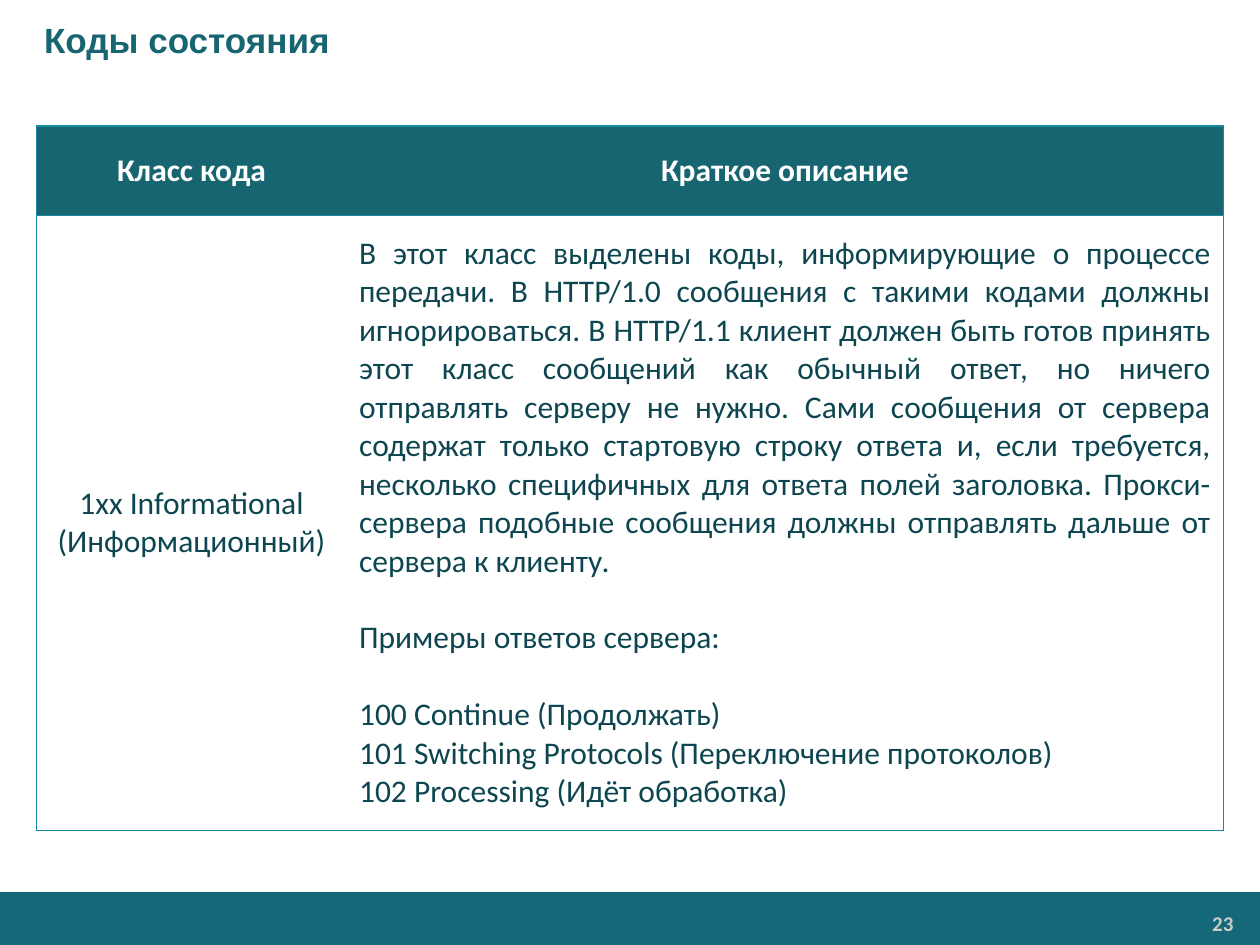
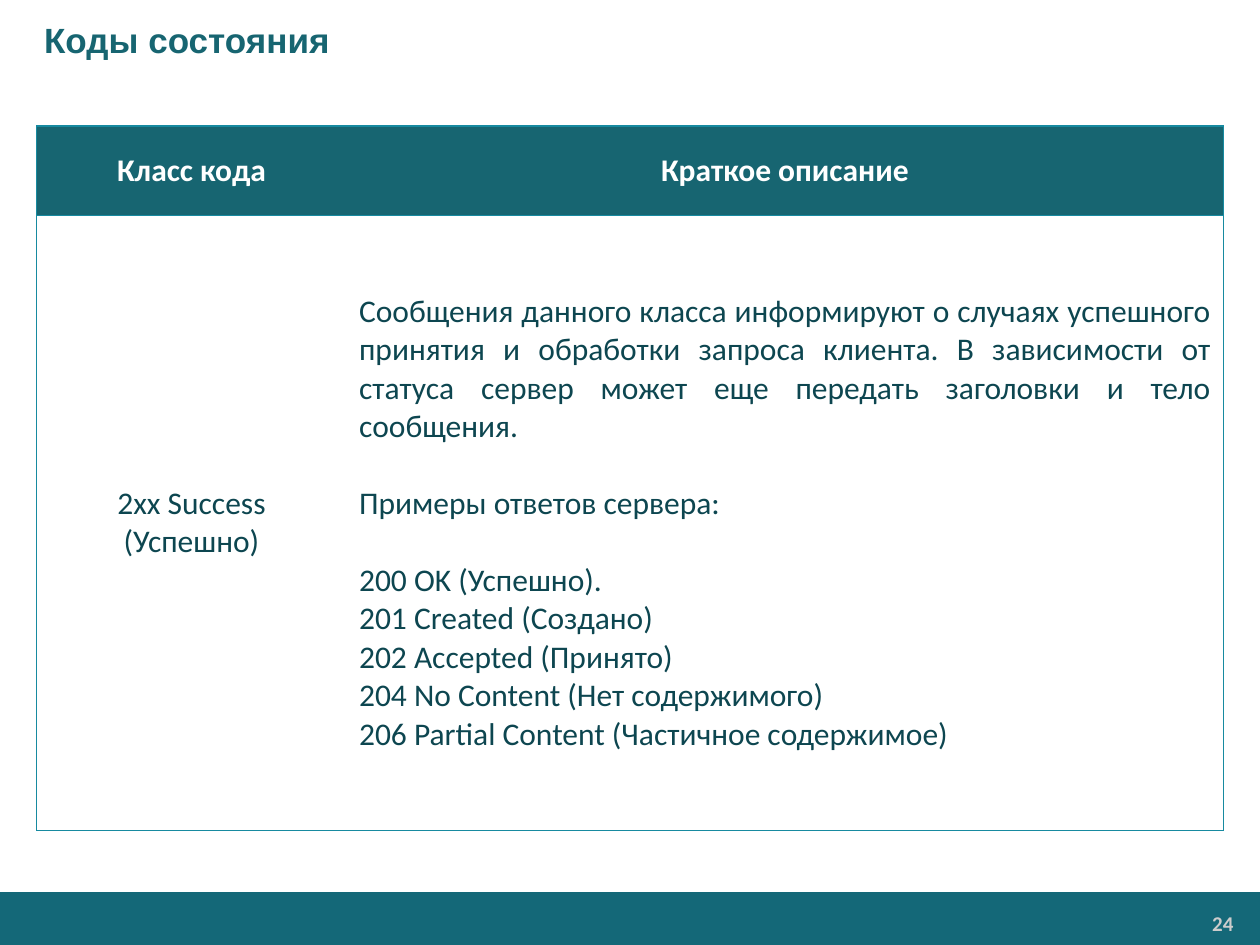
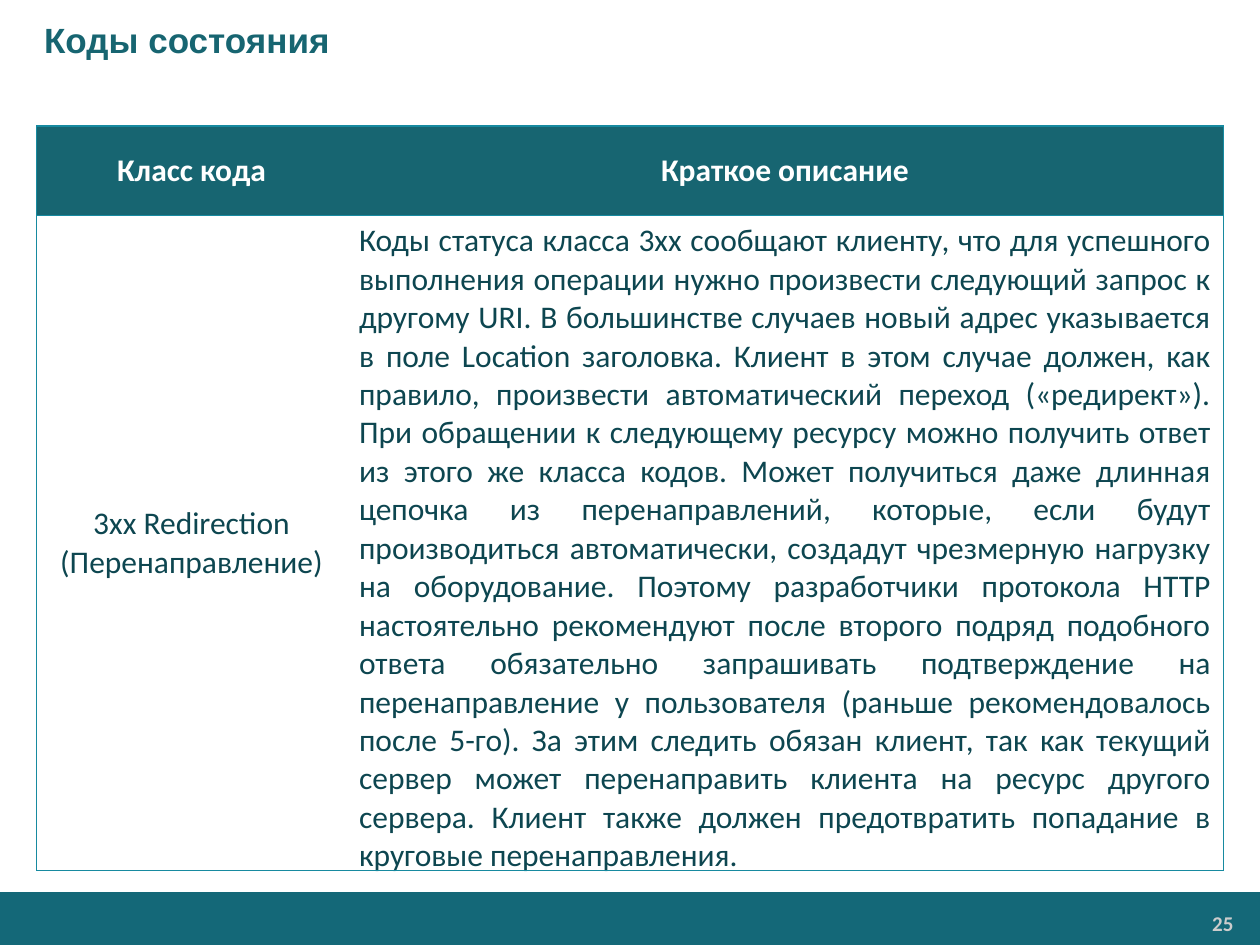
from pptx import Presentation
from pptx.dml.color import RGBColor
from pptx.enum.shapes import MSO_SHAPE
from pptx.enum.text import MSO_ANCHOR, PP_ALIGN
from pptx.oxml import parse_xml
from pptx.oxml.ns import nsdecls
from pptx.util import Inches, Pt

BAND = RGBColor(0x14, 0x68, 0x78)
HEADER = RGBColor(0x17, 0x65, 0x71)
BORDER = RGBColor(0x17, 0x8A, 0xA0)
BODY_TEXT = RGBColor(0x0D, 0x46, 0x50)
PAGE_NUMBER = RGBColor(0xCC, 0xCC, 0xCC)
WHITE = RGBColor(0xFF, 0xFF, 0xFF)

FIRST_PAGE = 23
BLANK_LINE = Pt(22)
EXAMPLES_LABEL = "Примеры ответов сервера:"
COLUMN_TITLES = ["Класс кода", "Краткое описание"]

# Class of codes, sentences of its description, sample responses
code_classes = [
    ("1xx Informational (Информационный)",
     ["В этот класс выделены коды, информирующие о процессе передачи.",
      "В HTTP/1.0 сообщения с такими кодами должны игнорироваться.",
      "В HTTP/1.1 клиент должен быть готов принять этот класс сообщений как обычный ответ, "
      "но ничего отправлять серверу не нужно.",
      "Сами сообщения от сервера содержат только стартовую строку ответа и, если требуется, "
      "несколько специфичных для ответа полей заголовка.",
      "Прокси-сервера подобные сообщения должны отправлять дальше от сервера к клиенту."],
     ["100 Continue (Продолжать)",
      "101 Switching Protocols (Переключение протоколов)",
      "102 Processing (Идёт обработка)"]),
    ("2xx Success (Успешно)",
     ["Сообщения данного класса информируют о случаях успешного принятия и обработки "
      "запроса клиента.",
      "В зависимости от статуса сервер может еще передать заголовки и тело сообщения."],
     ["200 OK (Успешно).",
      "201 Created (Создано)",
      "202 Accepted (Принято)",
      "204 No Content (Нет содержимого)",
      "206 Partial Content (Частичное содержимое)"]),
    ("3xx Redirection (Перенаправление)",
     ["Коды статуса класса 3xx сообщают клиенту, что для успешного выполнения операции "
      "нужно произвести следующий запрос к другому URI.",
      "В большинстве случаев новый адрес указывается в поле Location заголовка.",
      "Клиент в этом случае должен, как правило, произвести автоматический переход "
      "(«редирект»).",
      "При обращении к следующему ресурсу можно получить ответ из этого же класса кодов.",
      "Может получиться даже длинная цепочка из перенаправлений, которые, если будут "
      "производиться автоматически, создадут чрезмерную нагрузку на оборудование.",
      "Поэтому разработчики протокола HTTP настоятельно рекомендуют после второго подряд "
      "подобного ответа обязательно запрашивать подтверждение на перенаправление у "
      "пользователя (раньше рекомендовалось после 5-го).",
      "За этим следить обязан клиент, так как текущий сервер может перенаправить клиента "
      "на ресурс другого сервера.",
      "Клиент также должен предотвратить попадание в круговые перенаправления."],
     []),
]


def write_lines(frame, lines, size, color, align, bold=False, font="Calibri"):
    """Write one paragraph per line and return the paragraphs."""
    for number, line in enumerate(lines):
        paragraph = frame.paragraphs[0] if number == 0 else frame.add_paragraph()
        paragraph.alignment = align
        run = paragraph.add_run()
        run.text = line
        run.font.name = font
        run.font.size = Pt(size)
        run.font.bold = bold
        run.font.color.rgb = color
    return frame.paragraphs


def outline_cell(cell, visible_sides):
    """Draw the borders on the given sides (letters of LRTB) and hide the others."""
    properties = cell._tc.get_or_add_tcPr()
    for side in "LRTB":
        paint = "<a:noFill/>"
        if side in visible_sides:
            paint = f'<a:solidFill><a:srgbClr val="{BORDER}"/></a:solidFill>'
        properties.append(parse_xml(
            f'<a:ln{side} {nsdecls("a")} w="{Pt(0.75)}">{paint}</a:ln{side}>'))


prs = Presentation()
prs.slide_width, prs.slide_height = Inches(10), Inches(7.5)

for page, (class_name, sentences, examples) in enumerate(code_classes, FIRST_PAGE):
    slide = prs.slides.add_slide(prs.slide_layouts[6])

    band = slide.shapes.add_shape(
        MSO_SHAPE.RECTANGLE, 0, Inches(7.08), Inches(10), Inches(0.42))
    band.shadow.inherit = False
    band.fill.solid()
    band.fill.fore_color.rgb = BAND
    band.line.fill.background()

    page_frame = slide.shapes.add_textbox(
        Inches(8.23), Inches(7.19), Inches(1.63), Inches(0.28)).text_frame
    page_frame.word_wrap = True
    page_frame.margin_left = page_frame.margin_right = Inches(0.07)
    page_frame.margin_top = page_frame.margin_bottom = Inches(0.04)
    write_lines(page_frame, [str(page)], 12, PAGE_NUMBER, PP_ALIGN.RIGHT, bold=True)

    title_frame = slide.shapes.add_textbox(0, 0, Inches(10), Inches(0.63)).text_frame
    title_frame.word_wrap = True
    title_frame.margin_left = Inches(0.35)
    title_frame.vertical_anchor = MSO_ANCHOR.MIDDLE
    write_lines(title_frame, ["Коды состояния"], 20, HEADER, PP_ALIGN.LEFT,
                bold=True, font="Arial")

    table = slide.shapes.add_table(
        2, 2, Inches(0.29), Inches(1), Inches(9.42), Inches(5.59)).table
    table.horz_banding = False
    table.columns[0].width, table.columns[1].width = Inches(2.46), Inches(6.96)
    table.rows[0].height, table.rows[1].height = Inches(0.71), Inches(4.88)

    for column, outer_side in enumerate("LR"):
        header, body = table.cell(0, column), table.cell(1, column)
        for cell in (header, body):
            cell.vertical_anchor = MSO_ANCHOR.MIDDLE
            outline_cell(cell, outer_side + "TB")
        header.fill.solid()
        header.fill.fore_color.rgb = HEADER
        body.fill.background()
        write_lines(header.text_frame, [COLUMN_TITLES[column]], 18, WHITE,
                    PP_ALIGN.CENTER, bold=True)

    write_lines(table.cell(1, 0).text_frame, [class_name], 18, BODY_TEXT, PP_ALIGN.CENTER)
    details = [" ".join(sentences)]
    if examples:
        details += [EXAMPLES_LABEL, *examples]
    paragraphs = write_lines(table.cell(1, 1).text_frame, details, 18, BODY_TEXT,
                             PP_ALIGN.JUSTIFY)
    for paragraph in paragraphs[1:3]:
        paragraph.space_before = BLANK_LINE

prs.save("out.pptx")
